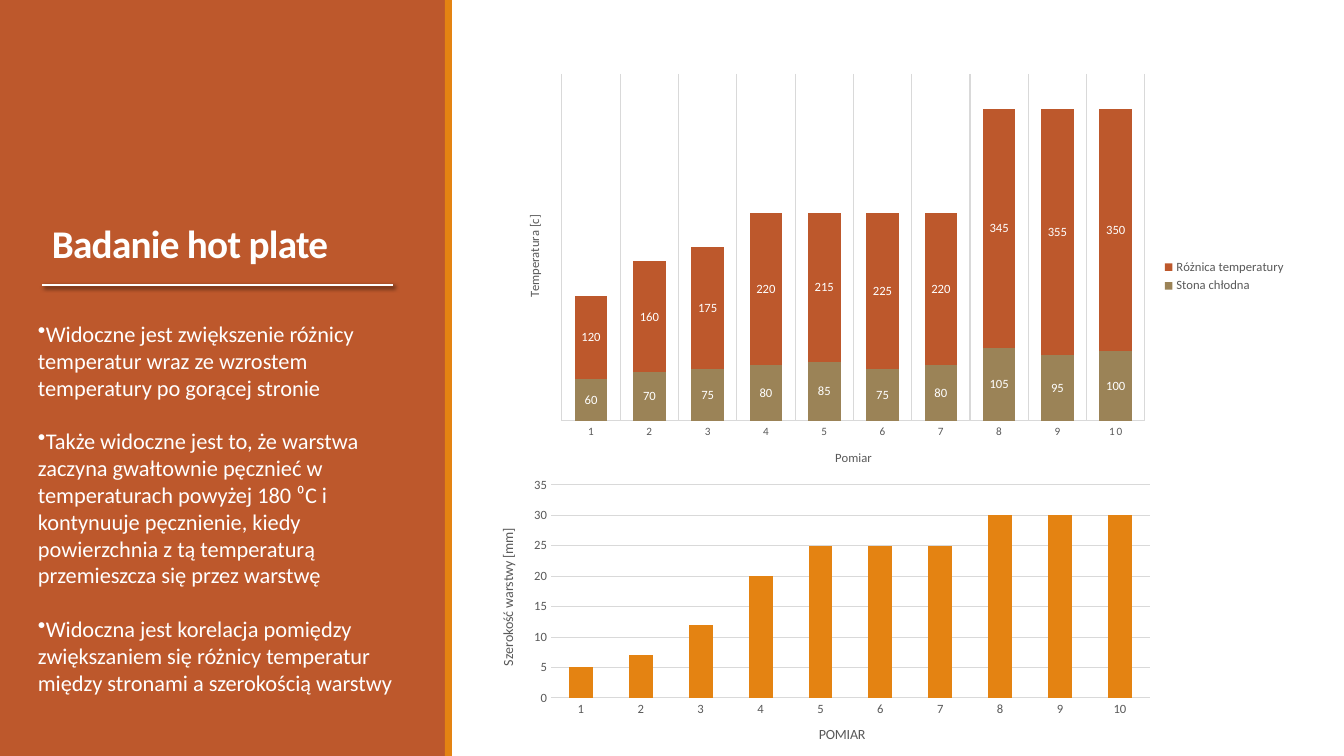
from lxml import etree
from pptx import Presentation
from pptx import util as u
from pptx.chart.data import CategoryChartData
from pptx.dml.color import RGBColor
from pptx.enum import chart as ch, shapes, text
from pptx.oxml import parse_xml
from pptx.oxml.ns import nsdecls, qn

RUST = RGBColor(0xBD, 0x58, 0x2C)
ORANGE = RGBColor(0xE4, 0x83, 0x12)
OLIVE = RGBColor(0x9B, 0x83, 0x57)
WHITE = RGBColor(0xFF, 0xFF, 0xFF)
GREY = RGBColor(0x59, 0x59, 0x59)
PALE = RGBColor(0xD9, 0xD9, 0xD9)
FONT = "Calibri"
EMU_PER_PX = u.Inches(1) / 100.8

FINDINGS = [
    "Widoczne jest zwiększenie różnicy temperatur wraz ze wzrostem temperatury po gorącej stronie",
    "Także widoczne jest to, że warstwa zaczyna gwałtownie pęcznieć w temperaturach powyżej 180 ⁰C "
    "i kontynuuje pęcznienie, kiedy powierzchnia z tą temperaturą przemieszcza się przez warstwę",
    "Widoczna jest korelacja pomiędzy zwiększaniem się różnicy temperatur między stronami "
    "a szerokością warstwy",
]
TEMPERATURES = [
    ("Stona chłodna", [60, 70, 75, 80, 85, 75, 80, 105, 95, 100], OLIVE),
    ("Różnica temperatury", [120, 160, 175, 220, 215, 225, 220, 345, 355, 350], RUST),
]
WIDTHS = [("Series 1", [5, 7, 12, 20, 25, 25, 25, 30, 30, 30], ORANGE)]


def px(n):
    return u.Emu(round(n * EMU_PER_PX))


def style_font(font, size, color=GREY, bold=False):
    font.name = FONT
    font.size = u.Pt(size)
    font.bold = bold
    font.color.rgb = color


def write(p, content, size, color=GREY, bold=False, spacing=None):
    r = p.add_run()
    r.text = content
    style_font(r.font, size, color, bold)
    if spacing is not None:
        r.font._element.set("spc", str(spacing))


class Deck:
    def __init__(self):
        self.prs = Presentation()
        self.prs.slide_width, self.prs.slide_height = px(1344), px(756)
        self.s = self.prs.slides.add_slide(self.prs.slide_layouts[6])

    def rect(self, x, y, w, h, color):
        sp = self.s.shapes.add_shape(shapes.MSO_SHAPE.RECTANGLE, px(x), px(y), px(w), px(h))
        sp.shadow.inherit = False
        sp.fill.solid()
        sp.fill.fore_color.rgb = color
        sp.line.fill.background()

    def textbox(self, x, y, w, h, paragraphs, size, anchor=text.MSO_ANCHOR.TOP,
                bullet=False, gap=0, leading=None, **fmt):
        tf = self.s.shapes.add_textbox(px(x), px(y), px(w), px(h)).text_frame
        tf.word_wrap = True
        tf.vertical_anchor = anchor
        for i, content in enumerate(paragraphs):
            p = tf.add_paragraph() if i else tf.paragraphs[0]
            if leading:
                p.line_spacing = leading
            if i:
                p.space_before = u.Pt(gap)
            if bullet:
                pPr = p._p.get_or_add_pPr()
                pPr.set("marL", "0")
                pPr.set("indent", "0")
                etree.SubElement(pPr, qn("a:buChar")).set("char", "•")
            write(p, content, size, **fmt)

    def rule(self, x1, x2, y, color, width):
        sp = self.s.shapes.add_connector(shapes.MSO_CONNECTOR.STRAIGHT, px(x1), px(y), px(x2), px(y))
        sp.line.color.rgb = color
        sp.line.width = u.Pt(width)
        sp._element.spPr.append(parse_xml(
            f'<a:effectLst {nsdecls("a")}><a:outerShdw blurRad="38100" dist="25400" dir="2700000" '
            'algn="tl" rotWithShape="0"><a:srgbClr val="000000"><a:alpha val="60000"/>'
            '</a:srgbClr></a:outerShdw></a:effectLst>'))

    def column_chart(self, box, plot_box, series, gap, top, step, titles, title_size):
        data = CategoryChartData()
        data.categories = [str(n) for n in range(1, 11)]
        for name, values, _ in series:
            data.add_series(name, values)
        chart = self.s.shapes.add_chart(
            ch.XL_CHART_TYPE.COLUMN_STACKED, *map(px, box), data).chart
        chart.has_title = False
        chart.has_legend = False
        style_font(chart.font, 10)
        plot = chart.plots[0]
        plot.gap_width, plot.overlap, plot.vary_by_categories = gap, 100, False
        for bars, (_, _, color) in zip(plot.series, series):
            bars.format.fill.solid()
            bars.format.fill.fore_color.rgb = color
        for axis, title in zip((chart.category_axis, chart.value_axis), titles):
            axis.major_tick_mark = axis.minor_tick_mark = ch.XL_TICK_MARK.NONE
            style_font(axis.tick_labels.font, 9)
            write(axis.axis_title.text_frame.paragraphs[0], title, title_size)
        line = chart.category_axis.format.line
        line.color.rgb, line.width = PALE, u.Pt(0.75)
        axis = chart.value_axis
        axis.minimum_scale, axis.maximum_scale, axis.major_unit = 0, top, step
        axis.has_major_gridlines = False
        axis.format.line.fill.background()
        self.place_plot(chart, box, plot_box)
        return chart

    def place_plot(self, chart, box, plot_box):
        x, y, w, h = box
        left, upper, width, height = plot_box
        parts = {"x": (left - x) / w, "y": (upper - y) / h, "w": width / w, "h": height / h}
        area = chart._chartSpace.find(".//" + qn("c:plotArea"))
        for old in area.findall(qn("c:layout")):
            area.remove(old)
        values = "".join(f'<c:{key} val="{value:.4f}"/>' for key, value in parts.items())
        area.insert(0, parse_xml(
            f'<c:layout {nsdecls("c")}><c:manualLayout><c:layoutTarget val="inner"/>'
            '<c:xMode val="edge"/><c:yMode val="edge"/>' + values + '</c:manualLayout></c:layout>'))

    def gridlines(self, axis):
        axis.has_major_gridlines = True
        line = axis.major_gridlines.format.line
        line.color.rgb, line.width = PALE, u.Pt(0.75)

    def legend(self, chart):
        chart.has_legend = True
        chart.legend.position = ch.XL_LEGEND_POSITION.RIGHT
        chart.legend.include_in_layout = False
        style_font(chart.legend.font, 9)

    def value_labels(self, chart):
        for bars in chart.plots[0].series:
            labels = bars.data_labels
            labels.show_value = True
            labels.position = ch.XL_LABEL_POSITION.CENTER
            style_font(labels.font, 9, WHITE)


def main():
    deck = Deck()
    deck.rect(0, 0, 446, 756, RUST)
    deck.textbox(42, 40, 377, 232, ["Badanie hot plate"], 28, anchor=text.MSO_ANCHOR.BOTTOM,
                 leading=0.85, color=WHITE, bold=True, spacing=-50)
    deck.rect(445, 0, 7, 756, ORANGE)
    deck.textbox(28, 315, 391, 390, FINDINGS, 16, bullet=True, gap=19, color=WHITE)
    deck.rule(42, 393, 285, WHITE, 2)

    temperature = deck.column_chart((504, 66, 792, 421), (562, 74, 583, 347), TEMPERATURES,
                                    79, 500, 100, ("Pomiar", "Temperatura [c]"), 9)
    temperature.value_axis.visible = False
    deck.gridlines(temperature.category_axis)
    tick_font = temperature.category_axis.tick_labels.font
    tick_font.size = u.Pt(8)
    tick_font._element.set("spc", "120")
    deck.legend(temperature)
    deck.value_labels(temperature)

    width = deck.column_chart((479, 472, 685, 292), (551, 485, 599, 213), WIDTHS,
                              150, 35, 5, ("POMIAR", "Szerokość warstwy [mm]"), 10)
    deck.gridlines(width.value_axis)
    deck.prs.save("out.pptx")


if __name__ == "__main__":
    main()
